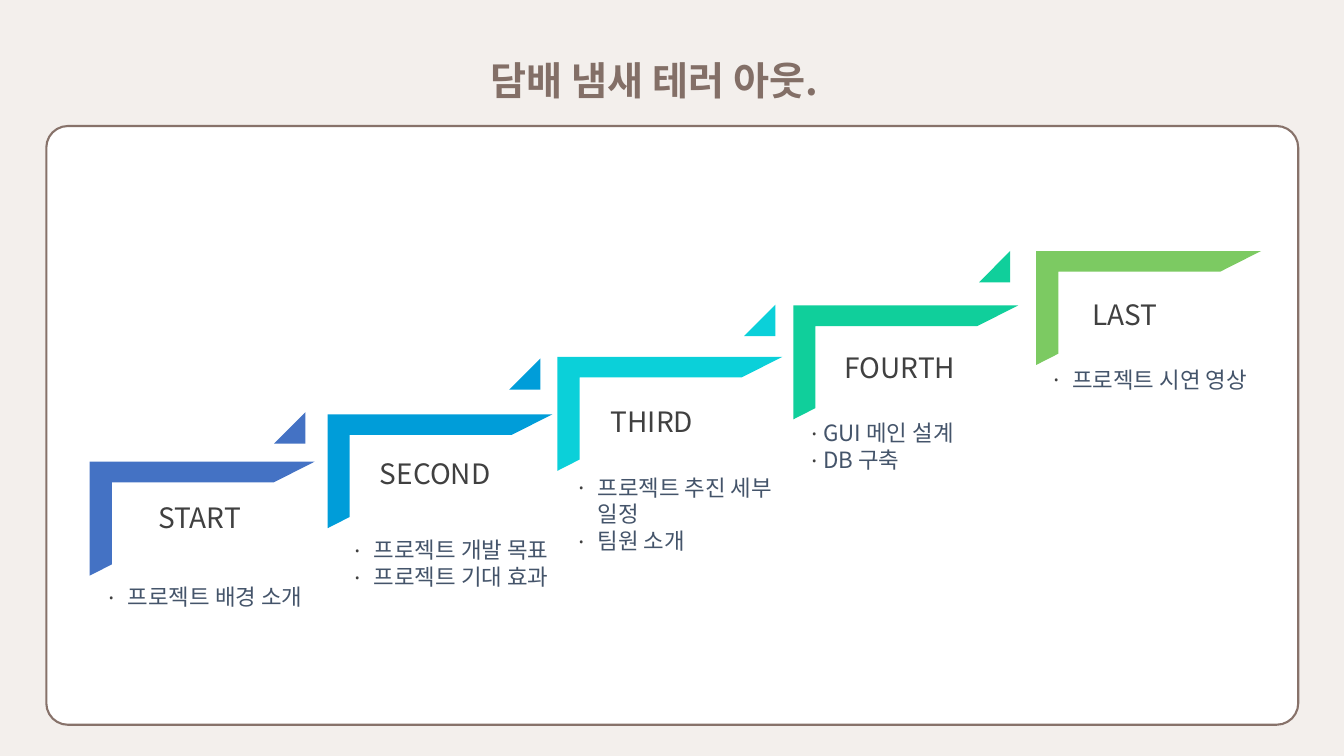
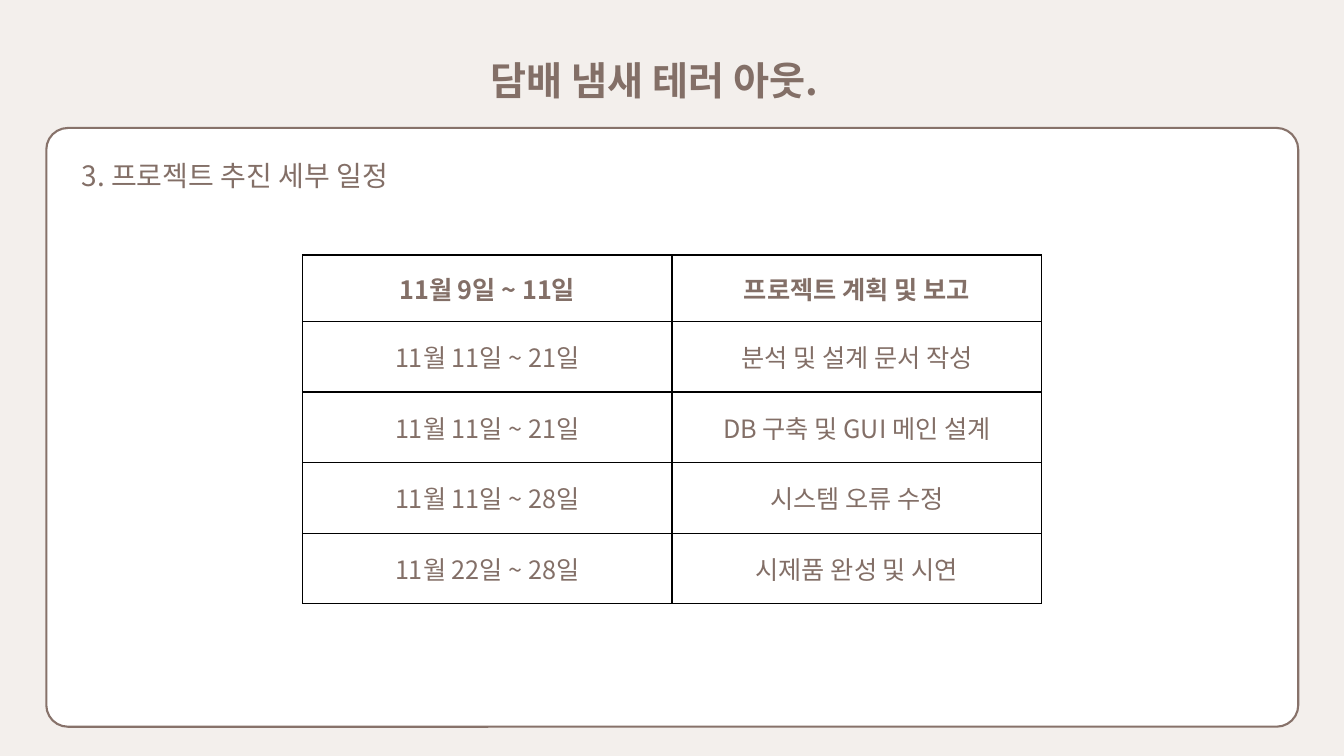
from lxml import etree
from pptx import Presentation
from pptx.dml.color import RGBColor
from pptx.enum.shapes import MSO_SHAPE as Shape
from pptx.enum.text import MSO_ANCHOR as Anchor, PP_ALIGN as Align
from pptx.oxml import parse_xml
from pptx.oxml.ns import nsdecls, qn
from pptx.util import Inches, Pt

FONT = "Noto Sans CJK KR"
BACKDROP = RGBColor(0xF3, 0xEF, 0xEC)
WHITE = RGBColor(0xFF, 0xFF, 0xFF)
OUTLINE = RGBColor(0x87, 0x72, 0x6A)
BROWN = RGBColor(0x83, 0x6F, 0x67)
CHARCOAL = RGBColor(0x40, 0x40, 0x40)
SLATE = RGBColor(0x44, 0x54, 0x6A)
BLUE = RGBColor(0x44, 0x72, 0xC4)
SKY = RGBColor(0x00, 0x9D, 0xD9)
CYAN = RGBColor(0x0B, 0xD0, 0xD9)
TEAL = RGBColor(0x10, 0xCF, 0x9B)
GREEN = RGBColor(0x7C, 0xCA, 0x62)

deck = Presentation()
deck.slide_width, deck.slide_height = Inches(13.333), Inches(7.5)


def grid(left, top, width, height):
    """Turn percentages of the slide's width and height into lengths."""
    col, row = deck.slide_width / 100, deck.slide_height / 100
    return [int(n) for n in (left * col, top * row, width * col, height * row)]


def write(frame, text, size, color, bold=False, align=Align.LEFT):
    frame.word_wrap = True
    frame.text = text
    for paragraph in frame.paragraphs:
        paragraph.alignment = align
        for run in paragraph.runs:
            font = run.font
            font.name, font.size, font.bold = FONT, Pt(size), bold
            font.color.rgb = color
            etree.SubElement(font._element, qn("a:ea"), typeface=FONT)


# Shared background, panel and title
slides = []
for panel_top in (16.67, 16.93):
    slide = deck.slides.add_slide(deck.slide_layouts[6])
    slide.background.fill.solid()
    slide.background.fill.fore_color.rgb = BACKDROP
    panel = slide.shapes.add_shape(
        Shape.ROUNDED_RECTANGLE, *grid(3.45, panel_top, 93.15, 79.2))
    panel.shadow.inherit = False
    panel.adjustments[0] = 0.036
    panel.fill.solid()
    panel.fill.fore_color.rgb = WHITE
    panel.line.color.rgb = OUTLINE
    panel.line.width = Pt(1.5)
    title = slide.shapes.add_textbox(*grid(24.38, 3.73, 48.68, 10)).text_frame
    write(title, "담배 냄새 테러 아웃.", 28, BROWN, True, Align.CENTER)
    title.paragraphs[0].line_spacing = 1.5
    slides.append(slide)
steps_slide, schedule_slide = slides

# Rising steps: label, colour, corner, label place, topics place, indent, topics
STEPS = [
    ("START", BLUE, (6.68, 61.07), (11.03, 65.6), (7.13, 76.53), 0.22,
     ["프로젝트 배경 소개"]),
    ("SECOND", SKY, (24.38, 54.8), (27.53, 59.73), (25.43, 70.27), 0.22,
     ["프로젝트 개발 목표", "프로젝트 기대 효과"]),
    ("THIRD", CYAN, (41.48, 47.2), (44.7, 52.8), (42.08, 62), 0.22,
     ["프로젝트 추진 세부 일정", "팀원 소개"]),
    ("FOURTH", TEAL, (59.03, 40.4), (62.1, 45.73), (59.4, 54.8), 0.15,
     ["GUI 메인 설계", "DB 구축"]),
    ("LAST", GREEN, (77.1, 33.2), (80.55, 38.67), (77.4, 47.73), 0.22,
     ["프로젝트 시연 영상"]),
]
shapes = steps_slide.shapes
for i, (label, color, corner_at, label_at, topics_at, indent, topics) in enumerate(STEPS):
    corner = shapes.add_shape(Shape.HALF_FRAME, *grid(*corner_at, 16.73, 15.07))
    corner.adjustments[0], corner.adjustments[1] = 0.181, 0.194
    parts = [corner]
    if i < len(STEPS) - 1:
        pointer = shapes.add_shape(
            Shape.ISOSCELES_TRIANGLE,
            *grid(20.4 + 17.48 * i, 54.53 - 7.11 * i, 2.33, 4.13))
        pointer.adjustments[0] = 0
        pointer.rotation = 270
        parts.append(pointer)
    for part in parts:
        part.shadow.inherit = False
        part.fill.solid()
        part.fill.fore_color.rgb = color
        part.line.fill.background()

    heading = shapes.add_textbox(*grid(*label_at, 12, 5.87)).text_frame
    write(heading, label, 20, CHARCOAL)

    topic_list = shapes.add_textbox(
        *grid(*topics_at, 16.88, 1.33 + 3.6 * len(topics))).text_frame
    write(topic_list, "\n".join(topics), 16, SLATE)
    for paragraph in topic_list.paragraphs:
        props = paragraph._p.get_or_add_pPr()
        props.set("marL", str(Inches(indent)))
        props.set("indent", str(-Inches(indent)))
        bullet_color = etree.SubElement(props, qn("a:buClr"))
        etree.SubElement(bullet_color, qn("a:srgbClr"), val=str(CHARCOAL))
        etree.SubElement(props, qn("a:buFont"), typeface=FONT)
        etree.SubElement(props, qn("a:buChar"), char="·")

# Schedule
SCHEDULE = [
    ("11월 9일 ~ 11일", "프로젝트 계획 및 보고"),
    ("11월 11일 ~ 21일", "분석 및 설계 문서 작성"),
    ("11월 11일 ~ 21일", "DB 구축 및 GUI 메인 설계"),
    ("11월 11일 ~ 28일", "시스템 오류 수정"),
    ("11월 22일 ~ 28일", "시제품 완성 및 시연"),
]
section = schedule_slide.shapes.add_textbox(*grid(5.33, 20.27, 38.4, 5.87)).text_frame
write(section, "3. 프로젝트 추진 세부 일정", 20, BROWN)

table = schedule_slide.shapes.add_table(
    len(SCHEDULE), 2, *grid(22.5, 33.73, 55, 46.13)).table
table.first_row = table.horz_banding = False
for r, entry in enumerate(SCHEDULE):
    table.rows[r].height = Inches(0.66 if r == 0 else 0.7)
    for c, text in enumerate(entry):
        cell = table.cell(r, c)
        write(cell.text_frame, text, 18, BROWN, r == 0, Align.CENTER)
        cell.vertical_anchor = Anchor.MIDDLE
        props = cell._tc.get_or_add_tcPr()
        for side in ("lnL", "lnR", "lnT", "lnB"):
            props.append(parse_xml(
                f'<a:{side} {nsdecls("a")} w="{Pt(1)}"><a:solidFill>'
                f'<a:srgbClr val="000000"/></a:solidFill></a:{side}>'))
        cell.fill.background()

deck.save("out.pptx")
